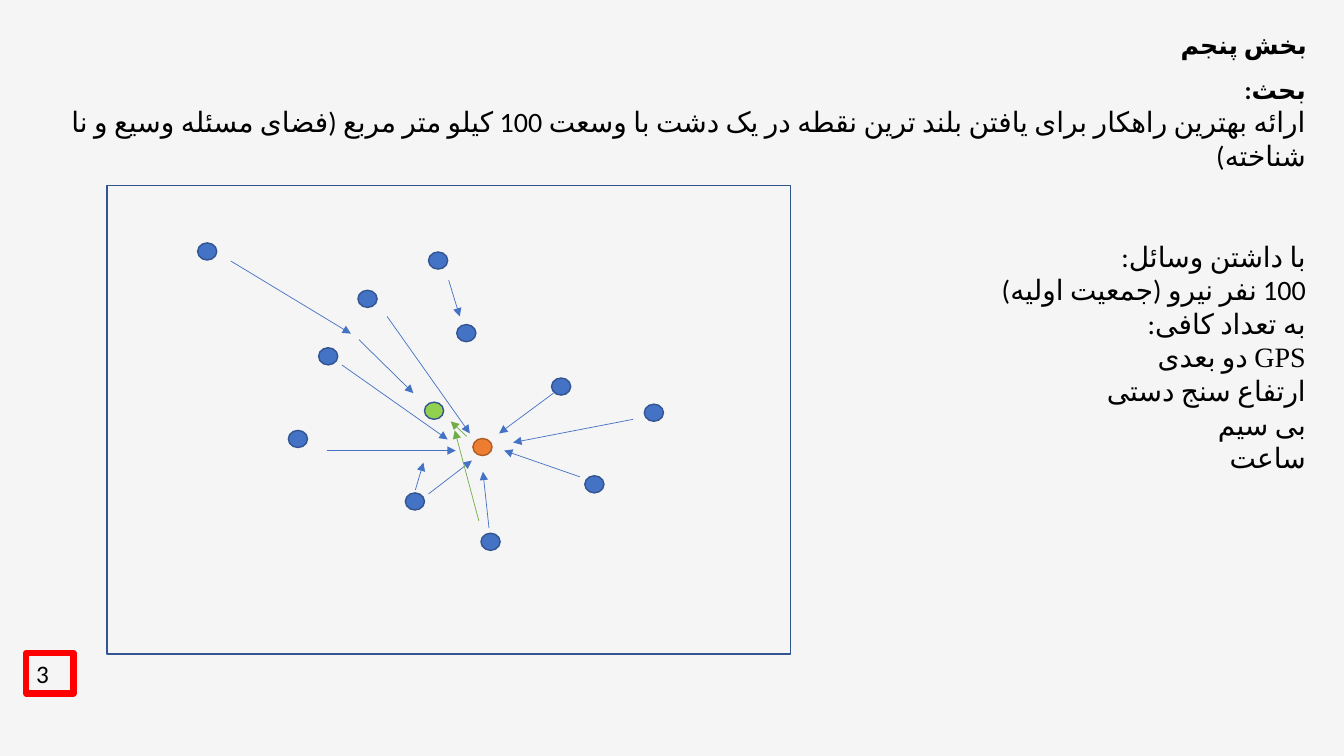
"""Build the slide on searching a plain for its highest point."""
from lxml import etree
from pptx import Presentation
from pptx.dml.color import RGBColor
from pptx.enum.shapes import MSO_CONNECTOR, MSO_SHAPE
from pptx.enum.text import MSO_ANCHOR, PP_ALIGN
from pptx.oxml.ns import qn
from pptx.util import Inches, Pt

RECT, OVAL, LINE = MSO_SHAPE.RECTANGLE, MSO_SHAPE.OVAL, MSO_CONNECTOR.STRAIGHT
LEFT, CENTER, RIGHT = PP_ALIGN.LEFT, PP_ALIGN.CENTER, PP_ALIGN.RIGHT
TOP, BOTTOM = MSO_ANCHOR.TOP, MSO_ANCHOR.BOTTOM
BACKGROUND = RGBColor(0xF5, 0xF5, 0xF5)
BLACK = RGBColor(0x00, 0x00, 0x00)
RED = RGBColor(0xFF, 0x00, 0x00)
BLUE = RGBColor(0x44, 0x72, 0xC4)
DARK_BLUE = RGBColor(0x32, 0x54, 0x91)
LIME = RGBColor(0x92, 0xD0, 0x50)
GREEN = RGBColor(0x70, 0xAD, 0x47)
ORANGE = RGBColor(0xED, 0x7D, 0x31)
BROWN = RGBColor(0xAF, 0x5C, 0x24)
DOT_W, DOT_H = 0.19, 0.17


def add_outlined(kind, x, y, w, h, line, width, fill=None):
    s = slide.shapes.add_shape(kind, Inches(x), Inches(y), Inches(w), Inches(h))
    s.shadow.inherit = False
    if fill is None:
        s.fill.background()
    else:
        s.fill.solid()
        s.fill.fore_color.rgb = fill
    s.line.color.rgb = line
    s.line.width = Pt(width)
    return s


def add_run(p, text, **formats):
    r = p.add_run()
    r.text = text
    r.font.color.rgb = BLACK
    for name, value in ({"name": "Calibri", "size": Pt(18), "bold": False} | formats).items():
        setattr(r.font, name, value)
    props = r._r.get_or_add_rPr()
    props.set("lang", "fa-IR")
    etree.SubElement(props, qn("a:cs"), typeface=r.font.name)


prs = Presentation()
prs.slide_width, prs.slide_height = Inches(13.33), Inches(7.5)
slide = prs.slides.add_slide(prs.slide_layouts[6])
slide.background.fill.solid()
slide.background.fill.fore_color.rgb = BACKGROUND

title = slide.shapes.add_textbox(Inches(11.6), Inches(0.23), Inches(1.47), Inches(0.41))
tf = title.text_frame
tf.word_wrap = False
tf.vertical_anchor = BOTTOM
p = tf.paragraphs[0]
p.alignment, p.line_spacing = CENTER, 0.9
add_run(p, "بخش پنجم", bold=True)

number = add_outlined(RECT, 0.26, 6.48, 0.47, 0.4, RED, 4.5)
tf = number.text_frame
tf.vertical_anchor = TOP
p = tf.paragraphs[0]
p.alignment = LEFT
add_run(p, "3")

discussion = slide.shapes.add_textbox(Inches(0.24), Inches(0.69), Inches(12.81), Inches(6.8))
tf = discussion.text_frame
tf.word_wrap = True
BODY = {"size": Pt(20)}
PARAGRAPHS = [
    (0, [("بحث:", {"bold": True})]),
    (0, [("ارائه بهترین راهکار برای یافتن بلند ترین نقطه در یک دشت با وسعت 100 کیلو متر مربع "
          "(فضای مسئله وسیع و نا شناخته)", BODY)]),
    (48, [("با داشتن وسائل:", BODY)]),
    (0, [("100 نفر نیرو (جمعیت اولیه)", BODY)]),
    (0, [("به تعداد کافی:", BODY)]),
    (0, [("GPS", BODY | {"name": "Times New Roman"}), (" دو بعدی", BODY)]),
    (0, [("ارتفاع سنج دستی", BODY)]),
    (0, [("بی سیم", BODY)]),
    (0, [("ساعت", BODY)]),
]
for i, (gap, runs) in enumerate(PARAGRAPHS):
    p = tf.add_paragraph() if i else tf.paragraphs[0]
    p.alignment = RIGHT
    p._p.get_or_add_pPr().set("rtl", "1")
    if gap:
        p.space_before = Pt(gap)
    for text, formats in runs:
        add_run(p, text, **formats)

add_outlined(RECT, 1.06, 1.84, 6.78, 4.65, DARK_BLUE, 1)

SEARCHERS = [
    (6.39, 4.01), (3.55, 2.88), (2.86, 4.27), (3.16, 3.45), (4.25, 2.5), (5.8, 4.72),
    (4.77, 5.29), (4.02, 4.89), (5.47, 3.75), (4.53, 3.22), (1.96, 2.41),
]
DOTS = [(x, y, BLUE, DARK_BLUE) for x, y in SEARCHERS]
DOTS += [(4.21, 3.99, LIME, DARK_BLUE), (4.69, 4.35, ORANGE, BROWN)]
for x, y, fill, line in DOTS:
    add_outlined(OVAL, x, y, DOT_W, DOT_H, line, 1, fill)

ARROWS = {
    BLUE: [
        (4.45, 2.78, 4.56, 3.14), (4.25, 4.9, 4.68, 4.57), (4.85, 5.24, 4.79, 4.68),
        (5.75, 4.73, 5, 4.47), (5.49, 3.9, 4.95, 4.3), (3.84, 3.14, 4.66, 4.3),
        (3.39, 3.62, 4.44, 4.36), (6.28, 4.16, 5.09, 4.39), (3.24, 4.47, 4.52, 4.47),
        (2.29, 2.59, 3.48, 3.31), (3.56, 3.37, 4.1, 3.9), (4.12, 4.86, 4.2, 4.59),
    ],
    GREEN: [(4.75, 5.17, 4.51, 4.27), (4.63, 4.33, 4.47, 4.18)],
}
for color, moves in ARROWS.items():
    for move in moves:
        arrow = slide.shapes.add_connector(LINE, *[Inches(v) for v in move])
        arrow.line.color.rgb = color
        arrow.line.width = Pt(0.5)
        etree.SubElement(arrow.line._get_or_add_ln(), qn("a:tailEnd"), type="triangle")
        etree.SubElement(arrow._element.spPr, qn("a:effectLst"))

prs.save("out.pptx")
